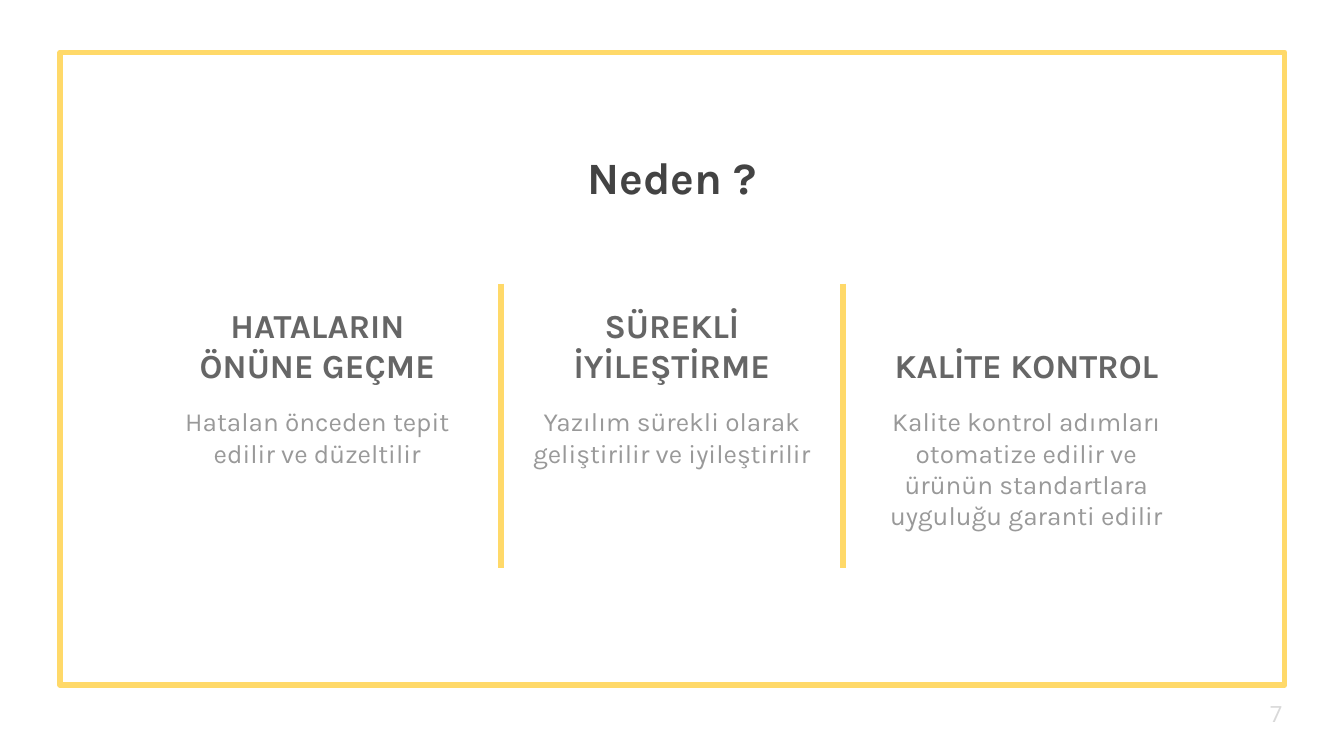
from lxml import etree
from pptx import Presentation
from pptx.dml.color import RGBColor
from pptx.enum.shapes import MSO_CONNECTOR, MSO_SHAPE
from pptx.enum.text import MSO_ANCHOR, PP_ALIGN
from pptx.oxml.ns import qn
from pptx.util import Cm, Pt

RECTANGLE = MSO_SHAPE.RECTANGLE
STRAIGHT = MSO_CONNECTOR.STRAIGHT
TOP, MIDDLE, BOTTOM = MSO_ANCHOR.TOP, MSO_ANCHOR.MIDDLE, MSO_ANCHOR.BOTTOM
LEFT, CENTER = PP_ALIGN.LEFT, PP_ALIGN.CENTER

YELLOW = RGBColor(0xFF, 0xD9, 0x69)
CHARCOAL = RGBColor(0x43, 0x43, 0x43)
DARK_GRAY = RGBColor(0x66, 0x66, 0x66)
GRAY = RGBColor(0x99, 0x99, 0x99)
LIGHT_GRAY = RGBColor(0xD9, 0xD9, 0xD9)

FIRST_CENTER, COLUMN_STEP = 6, 6.7
COLUMN_WIDTH, WIDE_BODY = 5.87, 6.3
COLUMNS = [
    ("HATALARIN ÖNÜNE GEÇME",
     "Hatalan önceden tepit edilir ve düzeltilir", WIDE_BODY),
    ("SÜREKLİ İYİLEŞTİRME",
     "Yazılım sürekli olarak geliştirilir ve iyileştirilir", COLUMN_WIDTH),
    ("KALİTE KONTROL",
     "Kalite kontrol adımları otomatize edilir ve ürünün standartlara "
     "uyguluğu garanti edilir", COLUMN_WIDTH),
]


def write_text(box, text, size, color, font="Karla", bold=False,
               align=CENTER, anchor=TOP):
    frame = box.text_frame
    frame.word_wrap = True
    frame.vertical_anchor = anchor
    frame.margin_left = frame.margin_right = Cm(0.25)
    frame.margin_top = frame.margin_bottom = Cm(0.25)
    para = frame.paragraphs[0]
    para.alignment = align
    span = para.add_run()
    span.text = text
    span.font.name = font
    span.font.size = Pt(size)
    span.font.bold = bold
    span.font.color.rgb = color


class SlideBuilder:
    accent = YELLOW
    line_width = Pt(3)

    def __init__(self, page):
        self.page = page

    def style_line(self, line):
        line.color.rgb = self.accent
        line.width = self.line_width

    def frame(self, left, top, width, height):
        box = self.page.shapes.add_shape(
            RECTANGLE, Cm(left), Cm(top), Cm(width), Cm(height))
        box.shadow.inherit = False
        box.fill.background()
        self.style_line(box.line)

    def title(self, text, left, top, width, height, **style):
        box = self.page.shapes.title
        box.left, box.top = Cm(left), Cm(top)
        box.width, box.height = Cm(width), Cm(height)
        write_text(box, text, **style)

    def text(self, text, left, top, width, height, **style):
        box = self.page.shapes.add_textbox(
            Cm(left), Cm(top), Cm(width), Cm(height))
        write_text(box, text, **style)

    def divider(self, x, top, bottom):
        line = self.page.shapes.add_connector(
            STRAIGHT, Cm(x), Cm(top), Cm(x), Cm(bottom))
        self.style_line(line.line)
        etree.SubElement(line._element.spPr, qn("a:effectLst"))


def main():
    deck = Presentation()
    deck.slide_width, deck.slide_height = Cm(25.4), Cm(14.29)
    builder = SlideBuilder(deck.slides.add_slide(deck.slide_layouts[5]))

    builder.frame(1.14, 0.99, 23.14, 11.96)
    builder.title("Neden ?", 0, 2.57, 25.4, 1.35,
                  size=24, color=CHARCOAL, bold=True)
    for x in (9.47, 15.93):
        builder.divider(x, 5.36, 10.74)
    builder.text("7", 23.75, 12.95, 1.52, 1.09, size=12, color=LIGHT_GRAY,
                 font="Roboto", align=LEFT, anchor=MIDDLE)

    for index, (heading, body, body_width) in enumerate(COLUMNS):
        center = FIRST_CENTER + index * COLUMN_STEP
        builder.text(heading, center - COLUMN_WIDTH / 2, 5.74,
                     COLUMN_WIDTH, 1.8, size=18, color=DARK_GRAY,
                     bold=True, anchor=BOTTOM)
        builder.text(body, center - body_width / 2, 7.42,
                     body_width, 4.32, size=14, color=GRAY)

    deck.save("out.pptx")


if __name__ == "__main__":
    main()
